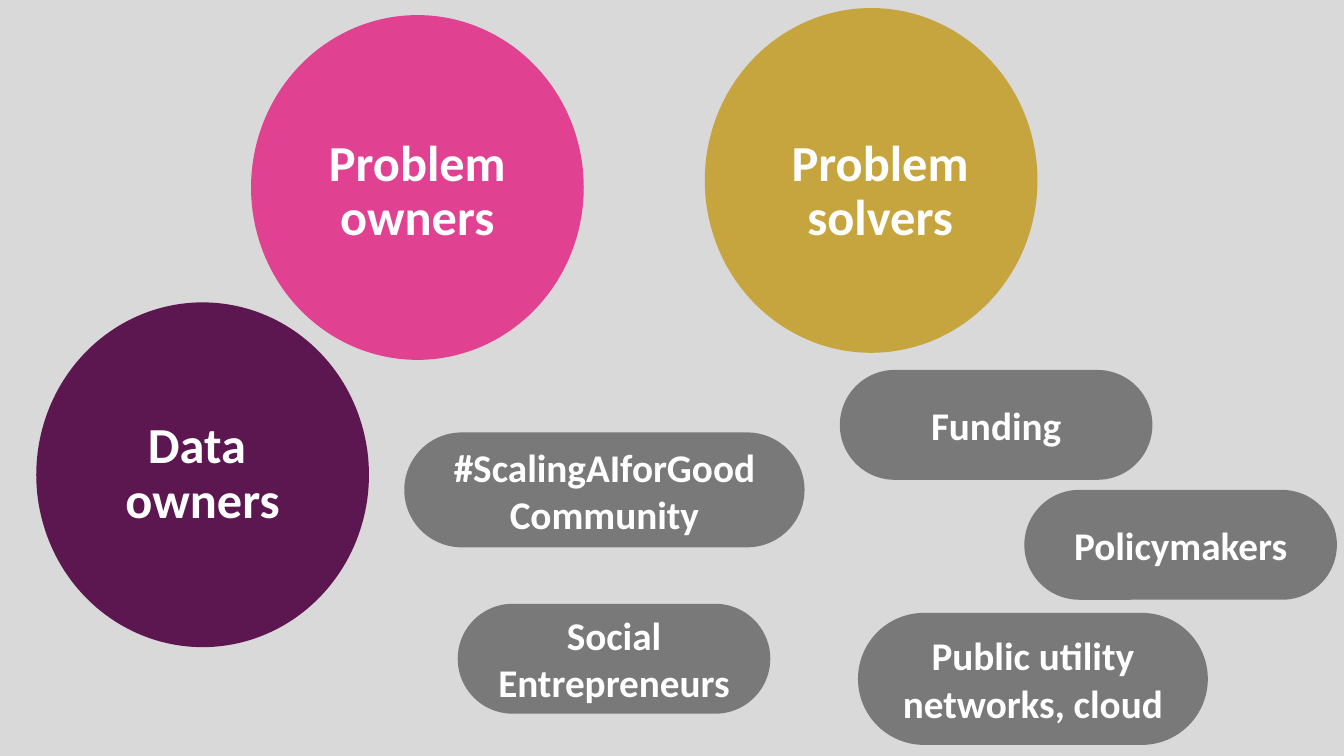
from dataclasses import dataclass

from lxml.etree import SubElement
from pptx import Presentation
from pptx.dml.color import RGBColor
from pptx.enum.shapes import MSO_SHAPE
from pptx.enum.text import MSO_ANCHOR, PP_ALIGN
from pptx.oxml.ns import qn
from pptx.shapes.autoshape import Shape
from pptx.slide import Slide
from pptx.text.text import TextFrame
from pptx.util import Inches, Pt

BACKGROUND = RGBColor(0xD9, 0xD9, 0xD9)
WHITE = RGBColor(0xFF, 0xFF, 0xFF)
GRAY = RGBColor(0x52, 0x52, 0x52)
PINK = RGBColor(0xE5, 0x01, 0x73)
GOLD = RGBColor(0xBF, 0x90, 0x00)
PURPLE = RGBColor(0x52, 0x06, 0x45)

CIRCLE_WIDTH, CIRCLE_HEIGHT = 3.3, 3.42
LABEL_HEIGHT = 1.1


@dataclass
class Pill:
    text: str
    left: float
    top: float
    width: float = 3.1
    height: float = 1.09


@dataclass
class Circle:
    text: str
    left: float
    top: float
    color: RGBColor
    opacity: int
    label_left: float
    label_top: float
    label_width: float = CIRCLE_WIDTH


PILLS = [
    Pill("Social Entrepreneurs", 4.54, 5.99),
    Pill("Public utility networks, cloud", 8.51, 6.08, 3.47, 1.31),
    Pill("Funding", 8.33, 3.67),
    Pill("#ScalingAIforGood Community", 4.01, 4.29, 3.97, 1.14),
    Pill("Policymakers", 10.16, 4.86),
]
CIRCLES = [
    Circle("Problem owners", 2.49, 0.15, PINK, 70, 2.49, 1.32),
    Circle("Problem solvers", 6.99, 0.08, GOLD, 71, 7.08, 1.32),
    Circle("Data \vowners", 0.36, 3, PURPLE, 92, 0.64, 4.12, 2.74),
]


def write_text(frame: TextFrame, text: str, *, size: int,
               anchor: MSO_ANCHOR, line_spacing: float = 1.0) -> None:
    frame.word_wrap = True
    frame.vertical_anchor = anchor
    paragraph = frame.paragraphs[0]
    paragraph.text = text
    paragraph.alignment = PP_ALIGN.CENTER
    paragraph.line_spacing = line_spacing
    for run in paragraph.runs:
        run.font.name = "Calibri"
        run.font.size = Pt(size)
        run.font.bold = True
        run.font.color.rgb = WHITE


def add_translucent_shape(slide: Slide, kind: MSO_SHAPE, left: float, top: float,
                          width: float, height: float, color: RGBColor,
                          opacity: int) -> Shape:
    """Add a borderless shape whose opacity is given in percent."""
    shape = slide.shapes.add_shape(kind, Inches(left), Inches(top),
                                   Inches(width), Inches(height))
    shape.shadow.inherit = False
    shape.line.fill.background()
    shape.fill.solid()
    shape.fill.fore_color.rgb = color
    color_element = shape.element.spPr.find(qn("a:solidFill"))[0]
    SubElement(color_element, qn("a:alpha")).set("val", str(opacity * 1000))
    return shape


def add_pill(slide: Slide, pill: Pill) -> None:
    shape = add_translucent_shape(slide, MSO_SHAPE.ROUNDED_RECTANGLE, pill.left,
                                  pill.top, pill.width, pill.height, GRAY, 71)
    shape.adjustments[0] = 0.5
    write_text(shape.text_frame, pill.text, size=28, anchor=MSO_ANCHOR.MIDDLE)


def add_circle(slide: Slide, circle: Circle) -> None:
    add_translucent_shape(slide, MSO_SHAPE.OVAL, circle.left, circle.top,
                          CIRCLE_WIDTH, CIRCLE_HEIGHT, circle.color, circle.opacity)
    label = slide.shapes.add_textbox(Inches(circle.label_left), Inches(circle.label_top),
                                     Inches(circle.label_width), Inches(LABEL_HEIGHT))
    write_text(label.text_frame, circle.text, size=36, anchor=MSO_ANCHOR.TOP,
               line_spacing=0.9)


def main() -> None:
    presentation = Presentation()
    presentation.slide_width = Inches(13.33)
    presentation.slide_height = Inches(7.5)
    slide = presentation.slides.add_slide(presentation.slide_layouts[6])
    slide.background.fill.solid()
    slide.background.fill.fore_color.rgb = BACKGROUND
    for pill in PILLS:
        add_pill(slide, pill)
    for circle in CIRCLES:
        add_circle(slide, circle)
    presentation.save("out.pptx")


if __name__ == "__main__":
    main()
